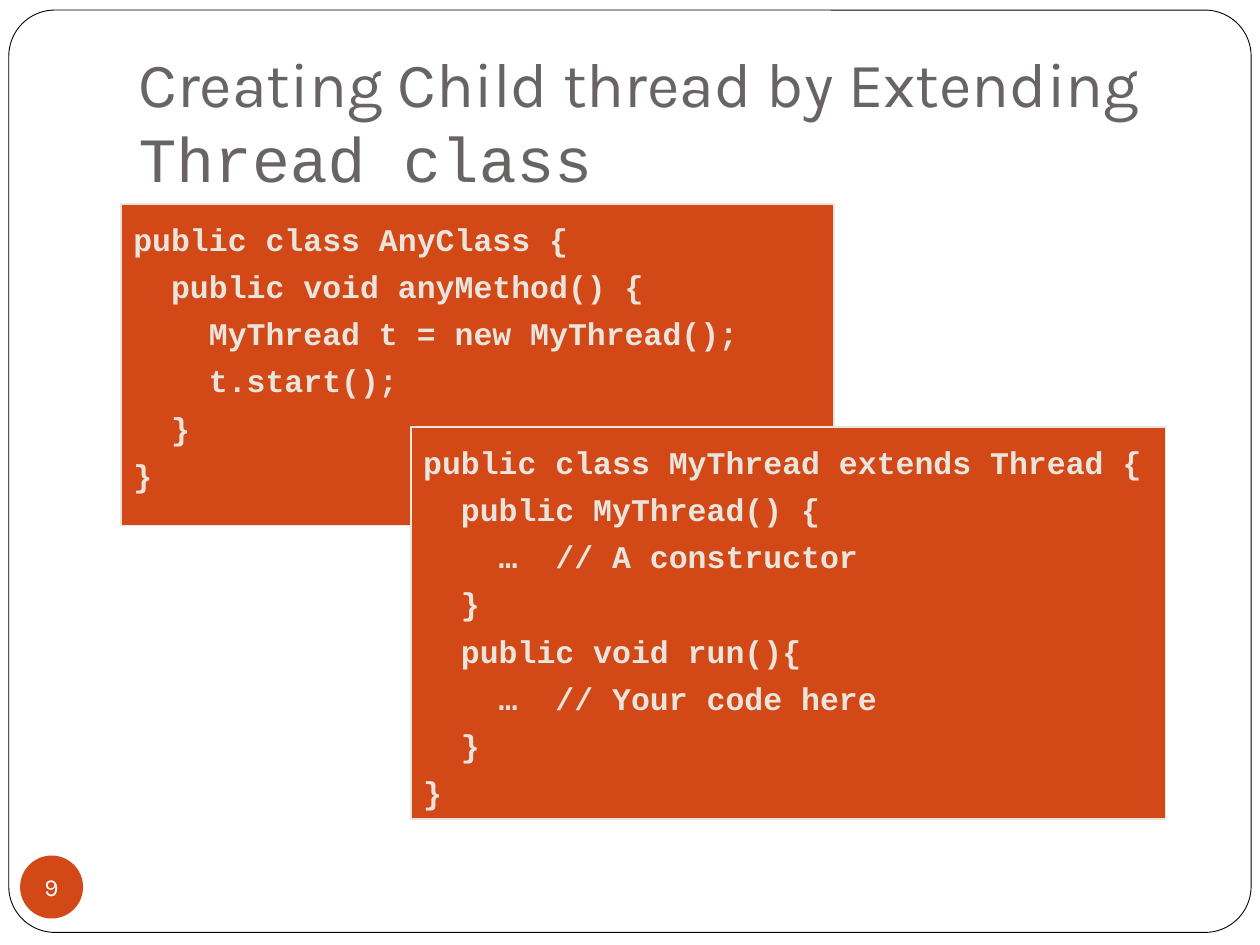
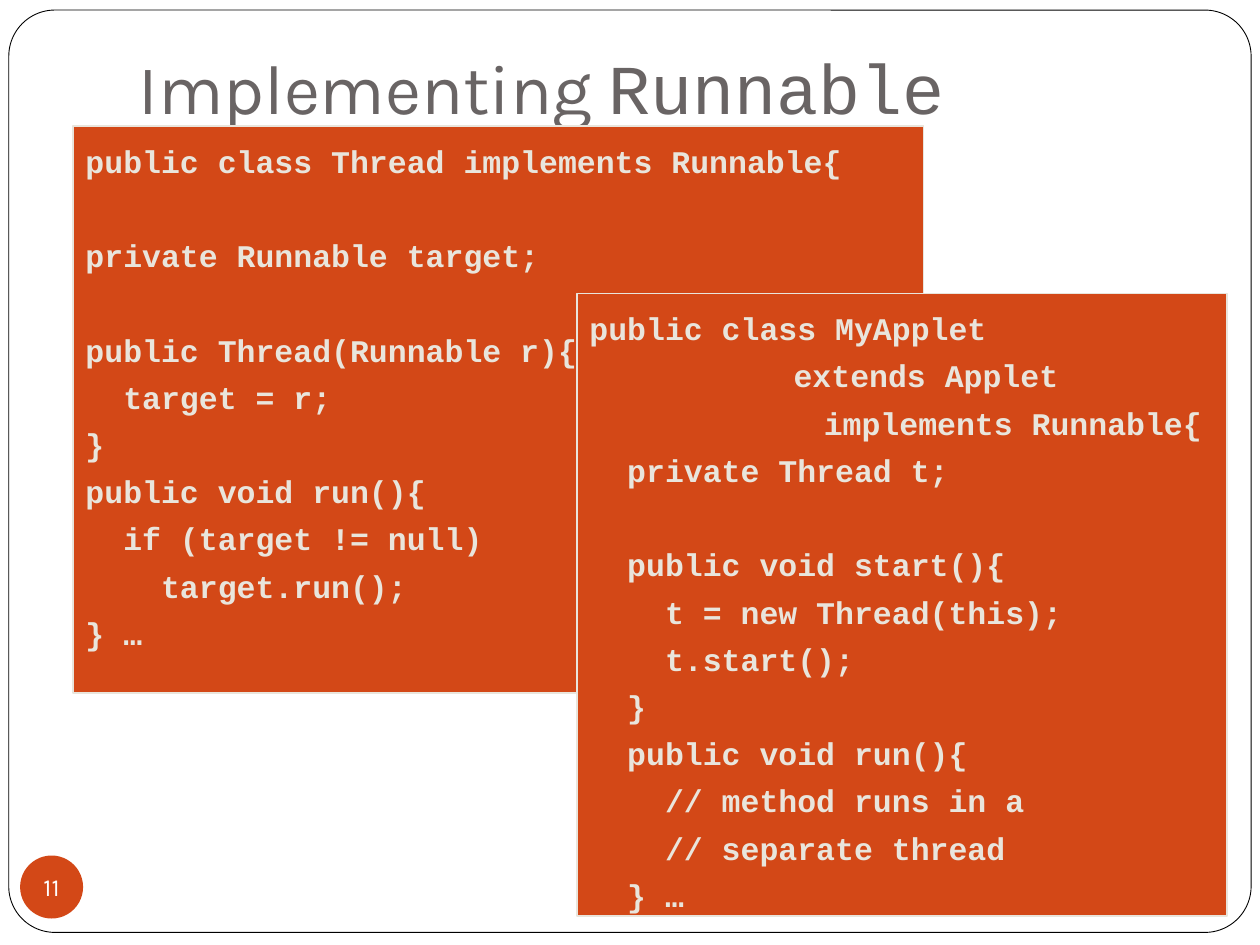
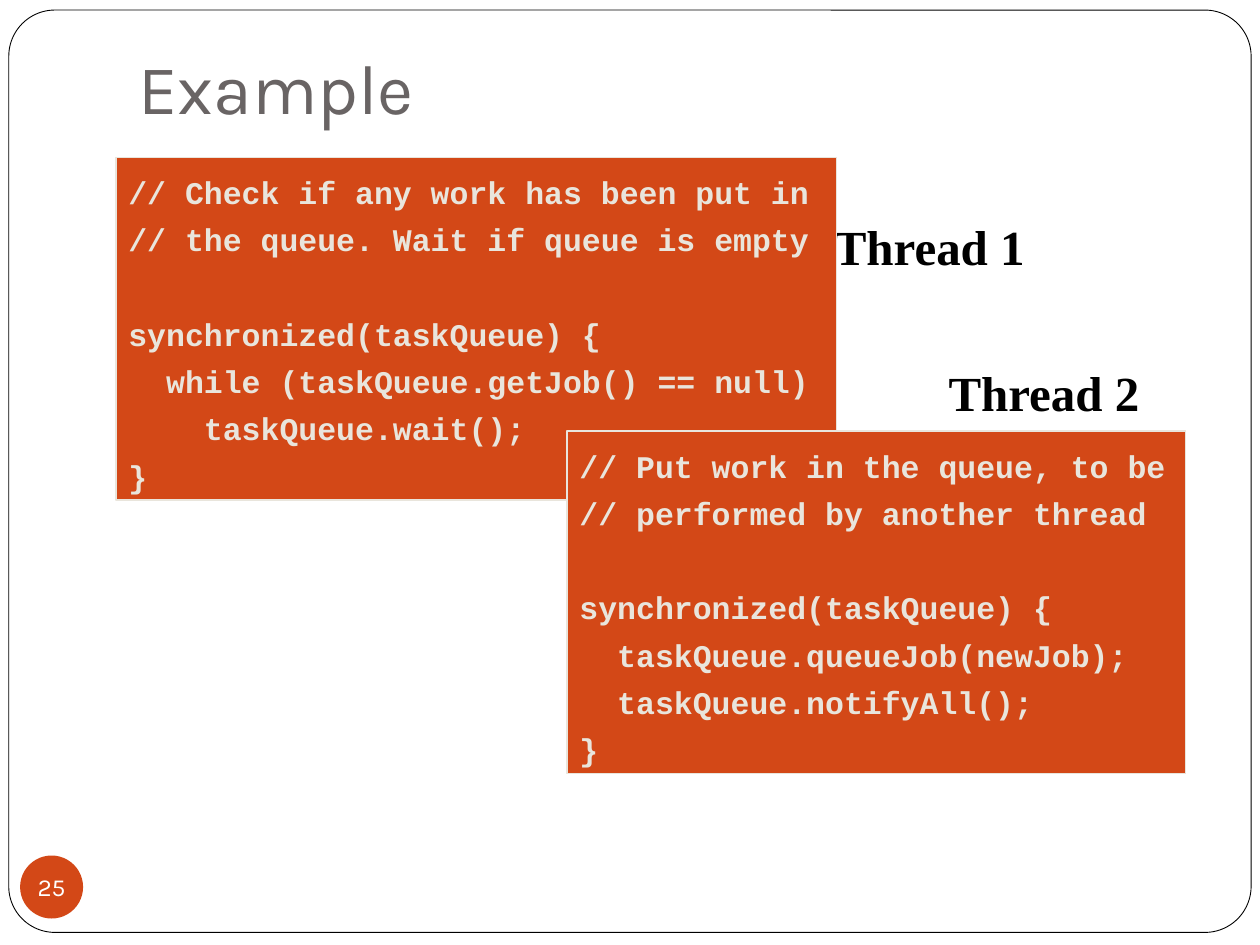
from lxml import etree
from pptx import Presentation
from pptx.dml.color import RGBColor
from pptx.enum import shapes, text
from pptx.oxml import ns
from pptx.util import Inches, Pt

ORANGE = RGBColor(0xD3, 0x48, 0x17)
CREAM = RGBColor(0xE9, 0xE5, 0xDC)
GREY = RGBColor(0x69, 0x64, 0x64)
BLACK = RGBColor(0, 0, 0)
WHITE = RGBColor(255, 255, 255)
HEADING, CODE, LABEL = "Karla", "Courier New", "Times New Roman"
BLANK_LINE = Pt(27)
TAB_STEP = 0.81

# Content: title runs, code boxes (left, top, width, height, code), labels
lessons = [
    dict(
        number="9", title_size=36,
        title=[("Creating Child thread by Extending ", HEADING), ("Thread class", CODE)],
        listings=[
            (0.96, 1.62, 5.66, 2.55, """\
public class AnyClass {
  public void anyMethod() {
    MyThread t = new MyThread();
    t.start();
  }
}"""),
            (3.26, 3.39, 5.99, 3.11, """\
public class MyThread extends Thread {
  public MyThread() {
    …  // A constructor
  }
  public void run(){
    …  // Your code here
  }
}"""),
        ],
    ),
    dict(
        number="11", title_size=40,
        title=[("Implementing ", HEADING), ("Runnable", CODE)],
        listings=[
            (0.58, 1, 6.75, 4.5, """\
public class Thread implements Runnable{

private Runnable target;

public Thread(Runnable r){
  target = r;
}
public void run(){
  if (target != null)
    target.run();
} …"""),
            (4.58, 2.33, 5.16, 4.94, """\
public class MyApplet
\t\textends Applet
\t       implements Runnable{
  private Thread t;

  public void start(){
    t = new Thread(this);
    t.start();
  }
  public void run(){
    // method runs in a
    // separate thread
  } …"""),
        ],
    ),
    dict(
        number="25", title_size=40, title_shadow=True,
        title=[("Example", HEADING)],
        labels=[("Thread 2", 7.43, 2.83, 1.99), ("Thread 1", 6.52, 1.67, 1.94)],
        listings=[
            (0.92, 1.25, 5.72, 2.72, """\
// Check if any work has been put in
// the queue. Wait if queue is empty

synchronized(taskQueue) {
  while (taskQueue.getJob() == null)
    taskQueue.wait();
}"""),
            (4.5, 3.42, 4.91, 2.72, """\
// Put work in the queue, to be
// performed by another thread

synchronized(taskQueue) {
  taskQueue.queueJob(newJob);
  taskQueue.notifyAll();
}"""),
        ],
    ),
]


def write(paragraph, words, font=HEADING, size=18, color=BLACK, bold=False, shadow=False):
    run = paragraph.add_run()
    run.text = words
    run.font.size, run.font.bold = Pt(size), bold
    run.font.color.rgb = color
    if shadow:
        effects = etree.SubElement(run.font._element, ns.qn("a:effectLst"))
        cast = etree.SubElement(effects, ns.qn("a:outerShdw"), dist="38100", dir="2700000")
        etree.SubElement(cast, ns.qn("a:srgbClr"), val=str(CREAM))
    run.font.name = font


def add_block(slide, kind, left, top, width, height, fill, line=None, weight=1):
    block = slide.shapes.add_shape(
        kind, Inches(left), Inches(top), Inches(width), Inches(height))
    block.shadow.inherit = False
    block.fill.solid()
    block.fill.fore_color.rgb = fill
    if line is None:
        block.line.fill.background()
    else:
        block.line.color.rgb = line
        block.line.width = Pt(weight)
    return block


deck = Presentation()
deck.slide_width, deck.slide_height = Inches(10), Inches(7.5)
layout = deck.slide_layouts[5]

for index, lesson in enumerate(lessons):
    slide = deck.slides.add_slide(layout)

    # Rounded page frame, kept once on the shared layout
    if index == 0:
        page_frame = add_block(slide, shapes.MSO_SHAPE.ROUNDED_RECTANGLE,
                               0.07, 0.08, 9.86, 7.32, WHITE, BLACK, 0.5)
        page_frame.adjustments[0] = 0.05
        layout.shapes._spTree.insert(2, page_frame._element)

    # Title
    title = slide.shapes.title
    title.left, title.top = Inches(1), Inches(0.3)
    title.width, title.height = Inches(8.5), Inches(1.25)
    heading = title.text_frame
    heading.auto_size = text.MSO_AUTO_SIZE.NONE
    heading.vertical_anchor = text.MSO_ANCHOR.TOP
    heading.margin_bottom = Inches(0.1)
    heading.paragraphs[0].alignment = text.PP_ALIGN.LEFT
    for words, font in lesson["title"]:
        write(heading.paragraphs[0], words, font=font, size=lesson["title_size"],
              color=GREY, shadow=lesson.get("title_shadow", False))

    # Page number badge
    badge = add_block(slide, shapes.MSO_SHAPE.OVAL, 0.16, 6.79, 0.5, 0.5, ORANGE)
    page_number = badge.text_frame
    page_number.margin_left = page_number.margin_right = 0
    page_number.margin_top = page_number.margin_bottom = 0
    page_number.word_wrap = False
    page_number.vertical_anchor = text.MSO_ANCHOR.MIDDLE
    page_number.paragraphs[0].alignment = text.PP_ALIGN.CENTER
    write(page_number.paragraphs[0], lesson["number"], size=14, color=WHITE)

    # Thread labels
    for words, left, top, width in lesson.get("labels", []):
        label = slide.shapes.add_textbox(
            Inches(left), Inches(top), Inches(width), Inches(0.57))
        label.text_frame.word_wrap = True
        write(label.text_frame.paragraphs[0], words, font=LABEL, size=28, bold=True)

    # Code listings; a blank code line becomes space before the next line
    for left, top, width, height, code in lesson["listings"]:
        listing = add_block(slide, shapes.MSO_SHAPE.RECTANGLE,
                            left, top, width, height, ORANGE, CREAM).text_frame
        listing.word_wrap = True
        listing.vertical_anchor = text.MSO_ANCHOR.TOP
        after_blank = False
        for row, code_line in enumerate(code.split("\n")):
            if not code_line:
                after_blank = True
                continue
            paragraph = listing.add_paragraph() if row else listing.paragraphs[0]
            paragraph.alignment = text.PP_ALIGN.LEFT
            paragraph.line_spacing = 1.25
            if after_blank:
                paragraph.space_before = BLANK_LINE
                after_blank = False
            if "\t" in code_line:
                stops = etree.SubElement(paragraph._p.get_or_add_pPr(), ns.qn("a:tabLst"))
                for step in (1, 2):
                    etree.SubElement(stops, ns.qn("a:tab"),
                                     pos=str(Inches(TAB_STEP * step)), algn="l")
            write(paragraph, code_line, font=CODE, color=CREAM, bold=True)

deck.save("out.pptx")
